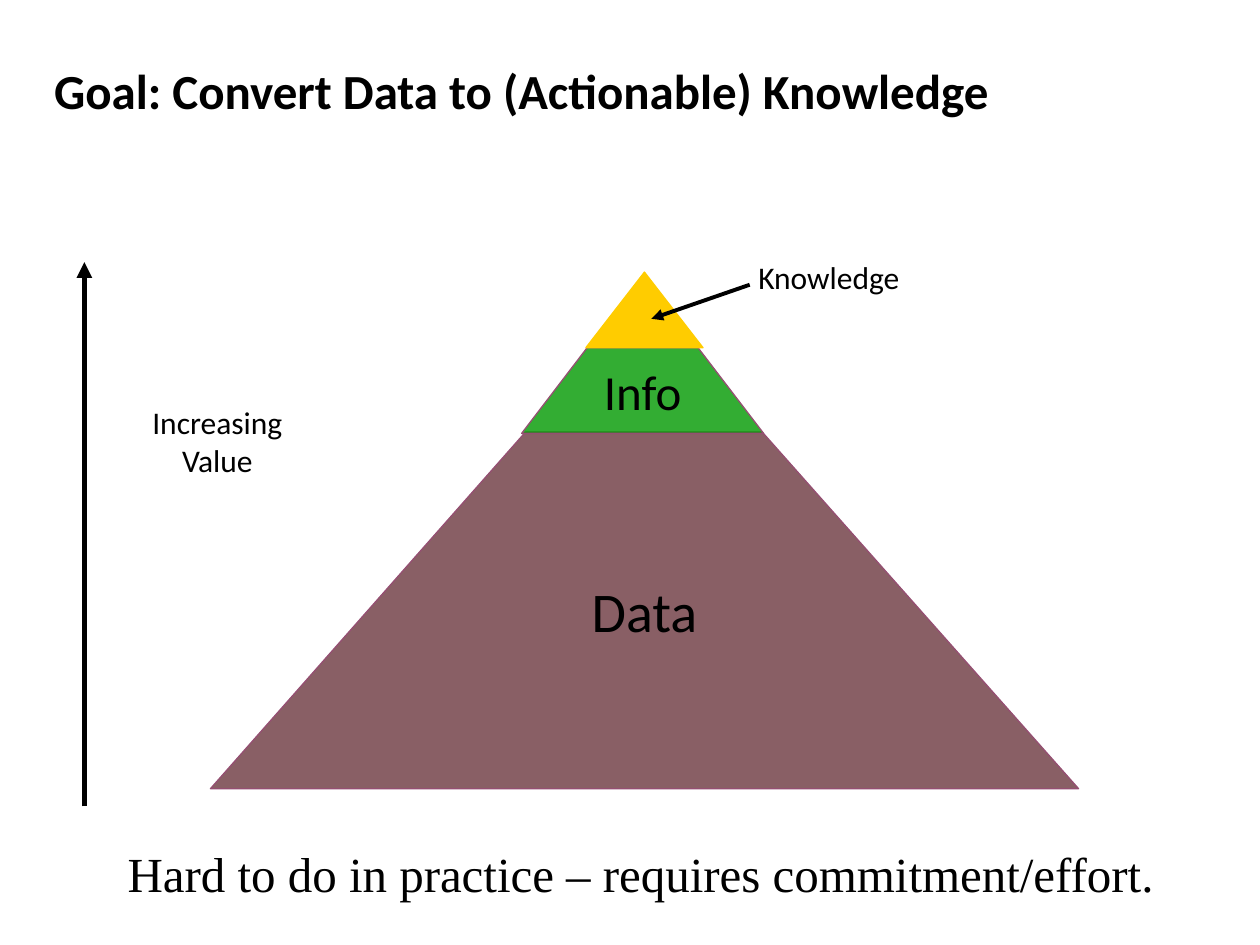
from typing import NamedTuple

from lxml.etree import SubElement
from pptx import Presentation
from pptx.dml.color import RGBColor
from pptx.enum.shapes import MSO_CONNECTOR as Connector, MSO_SHAPE as Shape
from pptx.enum.text import MSO_ANCHOR as Anchor, PP_ALIGN as Align
from pptx.oxml.ns import qn
from pptx.util import Inches, Pt

BLACK = RGBColor(0x00, 0x00, 0x00)
MAUVE = RGBColor(0x6C, 0x38, 0x3F)
GREEN = RGBColor(0x00, 0x99, 0x00)
GOLD = RGBColor(0xFF, 0xCC, 0x00)
PLUM = RGBColor(0x95, 0x4F, 0x72)


class Layer(NamedTuple):
    """One labelled trapezoid of the pyramid."""
    label: str
    size: int
    color: RGBColor
    corners: list[tuple[float, float]]


class Caption(NamedTuple):
    """Free-standing text with its box in inches."""
    lines: list[str]
    box: tuple[float, float, float, float]
    size: int
    font: str
    align: Align
    anchor: Anchor
    wrap: bool


class Arrow(NamedTuple):
    """Straight arrow from start to tip, in inches."""
    start: tuple[float, float]
    tip: tuple[float, float]
    width: float


LAYERS = [
    Layer("Data", 32, MAUVE, [(1.67, 6.26), (4.17, 3.43), (6.05, 3.43), (8.56, 6.26)]),
    Layer("Info", 28, GREEN, [(4.14, 3.44), (4.66, 2.76), (5.54, 2.76), (6.06, 3.44)]),
]
CAPTIONS = [
    Caption(["Knowledge"], (5.92, 2, 1.62, 0.47), 18, "Calibri", Align.LEFT, Anchor.TOP, False),
    Caption(["Increasing", "Value"], (0.98, 3.15, 1.49, 0.84), 18, "Calibri",
            Align.CENTER, Anchor.TOP, False),
    Caption(["Hard to do in practice – requires commitment/effort."], (0.67, 6.58, 8.83, 0.7),
            28, "Times New Roman", Align.CENTER, Anchor.MIDDLE, True),
]
ARROWS = [Arrow((5.95, 2.26), (5.17, 2.53), 2.25), Arrow((0.67, 6.4), (0.67, 2.08), 3)]


def apply_format(target, values: dict) -> None:
    """Set every attribute named in values."""
    for name, value in values.items():
        setattr(target, name, value)


def write(frame, lines: list[str], size: int, font: str, align: Align,
          anchor: Anchor, wrap: bool, bold: bool = False) -> None:
    """Fill a text frame with formatted paragraphs."""
    frame.text = "\n".join(lines)
    apply_format(frame, {"vertical_anchor": anchor, "word_wrap": wrap})
    for paragraph in frame.paragraphs:
        paragraph.alignment = align
        for run in paragraph.runs:
            apply_format(run.font, {"size": Pt(size), "name": font, "bold": bold})
            run.font.color.rgb = BLACK


def paint(shape, fill: RGBColor, outline: RGBColor) -> None:
    """Give a shape a flat fill and a thin outline."""
    shape.shadow.inherit = False
    shape.fill.solid()
    shape.fill.fore_color.rgb = fill
    shape.line.color.rgb = outline
    shape.line.width = Pt(0.75)


def draw_layer(shapes, layer: Layer) -> None:
    """Draw a translucent layer with its label."""
    first, *others = [(Inches(x), Inches(y)) for x, y in layer.corners]
    builder = shapes.build_freeform(*first)
    builder.add_line_segments(others, close=True)
    trapezoid = builder.convert_to_shape()
    paint(trapezoid, layer.color, PLUM)
    color = trapezoid.fill._xPr.find(qn("a:solidFill")).find(qn("a:srgbClr"))
    SubElement(color, qn("a:alpha"), val="80000")
    write(trapezoid.text_frame, [layer.label], layer.size, "Calibri",
          Align.CENTER, Anchor.MIDDLE, False)


def draw_caption(shapes, caption: Caption) -> None:
    """Place a caption in its own text box."""
    lines, box, *style = caption
    holder = shapes.add_textbox(*map(Inches, box))
    write(holder.text_frame, lines, *style)


def draw_arrow(shapes, arrow: Arrow) -> None:
    """Draw a black arrow with a triangular head."""
    connector = shapes.add_connector(Connector.STRAIGHT, *map(Inches, arrow.start + arrow.tip))
    connector.line.color.rgb = BLACK
    connector.line.width = Pt(arrow.width)
    SubElement(connector.line._get_or_add_ln(), qn("a:tailEnd"), type="triangle")
    SubElement(connector._element.spPr, qn("a:effectLst"))


def main() -> None:
    """Build and save the slide."""
    deck = Presentation()
    apply_format(deck, {"slide_width": Inches(10), "slide_height": Inches(7.5)})
    slide = deck.slides.add_slide(deck.slide_layouts[5])
    shapes = slide.shapes

    title = shapes.title
    apply_format(title, {"left": Inches(0.13), "top": Inches(0.23),
                         "width": Inches(9.75), "height": Inches(1.08)})
    write(title.text_frame, ["Goal: Convert Data to (Actionable) Knowledge"], 28, "Calibri",
          Align.LEFT, Anchor.MIDDLE, True, bold=True)
    apply_format(title.text_frame, {"margin_left": Inches(0.3), "margin_top": Inches(0.05),
                                    "margin_right": Inches(0.1), "margin_bottom": Inches(0.1)})
    title.text_frame.paragraphs[0].line_spacing = 0.9

    for layer in LAYERS:
        draw_layer(shapes, layer)
    peak = shapes.add_shape(Shape.ISOSCELES_TRIANGLE, *map(Inches, (4.65, 2.16, 0.93, 0.6)))
    paint(peak, GOLD, GOLD)
    for caption in CAPTIONS:
        draw_caption(shapes, caption)
    for arrow in ARROWS:
        draw_arrow(shapes, arrow)
    deck.save("out.pptx")


main()
